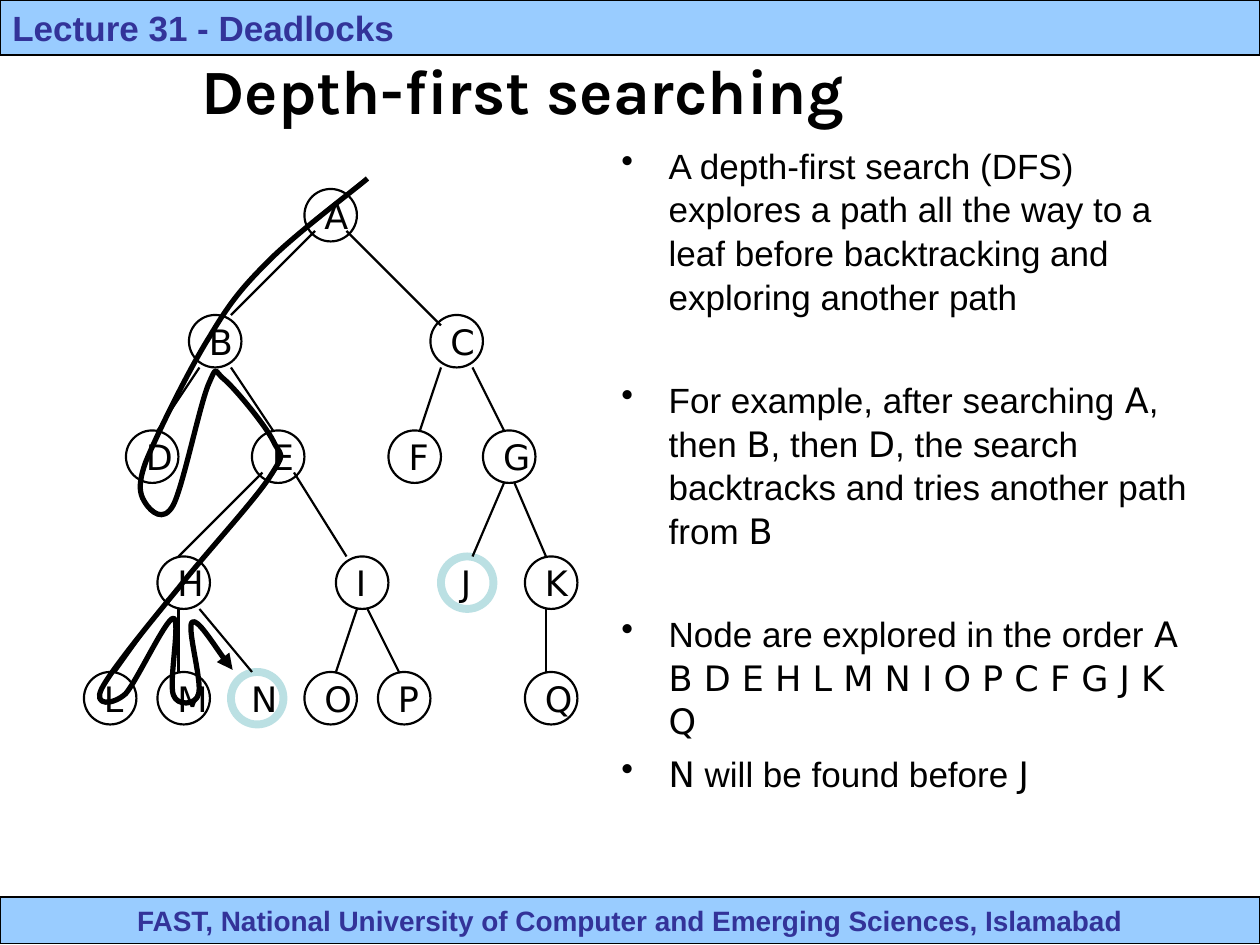
from dataclasses import dataclass

import pptx
import pptx.dml.color
import pptx.enum.shapes
import pptx.enum.text
import pptx.oxml.ns
import pptx.oxml.xmlchemy
import pptx.util
from lxml import etree

Pt = pptx.util.Pt
qn = pptx.oxml.ns.qn
Align = pptx.enum.text.PP_ALIGN
Anchor = pptx.enum.text.MSO_ANCHOR
Shape = pptx.enum.shapes.MSO_SHAPE


@dataclass(frozen=True)
class Theme:
    ink: str = "000000"
    band: str = "99CCFF"
    label: str = "333399"
    goal: str = "BBE0E3"
    sans: str = "Arial"
    code: str = "DejaVu Sans"
    head: str = "Karla"
    title: int = 36
    body: int = 20
    foot: int = 16


@dataclass(frozen=True)
class Box:
    x: float
    y: float
    w: float
    h: float

    def size(self):
        return Pt(self.x), Pt(self.y), Pt(self.w), Pt(self.h)


theme = Theme()
UNIT = 6    # grid step of the tree
NODE = 5    # node width in grid steps

# Rows of the tree: top of the row, then the left side of each node
ROWS = {
    1: {"A": 21},
    13: {"B": 10, "C": 33},
    24: {"D": 4, "E": 16, "F": 29, "G": 38},
    36: {"H": 7, "I": 24, "J": 34, "K": 42},
    47: {"L": 0, "M": 7, "N": 14, "O": 21, "P": 28, "Q": 42},
}
GOALS = "JN"
EDGES = [
    (14, 13, 22, 5), (25, 5, 34, 14),
    (11, 18, 7, 24), (14, 18, 18, 24), (34, 18, 32, 24), (37, 18, 40, 24),
    (9, 36, 17, 28), (25, 36, 20, 28), (37, 36, 40, 29), (44, 36, 41, 29),
    (3, 47, 8, 40), (9, 47, 9, 41), (16, 47, 11, 41),
    (24, 47, 26, 41), (30, 47, 27, 41), (44, 47, 44, 41),
]
# Search trail: start, then three Bezier points per curve, in steps of 0.72 pt
START = (225, 0)
TRAIL = [
    (212, 11), (168, 44), (147, 65), (126, 86), (116, 98), (100, 125),
    (83, 152), (58, 203), (49, 225), (41, 247), (46, 253), (49, 258),
    (53, 264), (63, 274), (71, 259), (79, 243), (92, 179), (99, 163),
    (106, 147), (103, 153), (112, 160), (121, 168), (144, 196), (150, 208),
    (156, 221), (161, 216), (148, 236), (136, 255), (97, 297), (75, 325),
    (52, 353), (21, 391), (14, 405), (7, 419), (23, 418), (33, 409),
    (42, 399), (65, 349), (71, 349), (77, 350), (67, 400), (71, 410),
    (74, 419), (89, 418), (91, 409), (94, 399), (81, 355), (86, 352),
    (90, 349), (111, 382), (118, 390),
]
# Bars set off the node names; the number is the space before
POINTS = [
    (0, "A depth-first search (DFS) explores a path all the way to a leaf "
        "before backtracking and exploring another path"),
    (34, "For example, after searching |A|, then |B|, then |D|, the search "
         "backtracks and tries another path from |B"),
    (34, "Node are explored in the order |A B D E H L M N I O P C F G J K Q"),
    (5, "|N| will be found before |J"),
]


def color(code):
    return pptx.dml.color.RGBColor.from_string(code)


def write(para, text, size=theme.body, font=theme.sans, ink=theme.ink,
          bold=False, align=Align.LEFT):
    """Fill a paragraph; parts between bars take the code font."""
    para.alignment = align
    for i, part in enumerate(text.split("|")):
        if part:
            run = para.add_run()
            run.text = part
            run.font.name = theme.code if i % 2 else font
            run.font.size = Pt(size)
            run.font.bold = bold
            run.font.color.rgb = color(ink)


def stroke(shape, ink=theme.ink, width=1.25):
    shape.line.color.rgb = color(ink)
    shape.line.width = Pt(width)


def frame(shape, anchor, wrap=True):
    area = shape.text_frame
    area.word_wrap = wrap
    area.vertical_anchor = anchor
    area.margin_left = area.margin_right = Pt(7.2)
    area.margin_top = area.margin_bottom = Pt(3.6)
    return area


def band(slide, box, text, **form):
    bar = slide.shapes.add_shape(Shape.RECTANGLE, *box.size())
    bar.shadow.inherit = False
    bar.fill.solid()
    bar.fill.fore_color.rgb = color(theme.band)
    stroke(bar, width=0.75)
    para = frame(bar, Anchor.TOP).paragraphs[0]
    write(para, text, ink=theme.label, bold=True, **form)


def title(slide, box, text):
    shape = slide.shapes.title
    shape.left, shape.top, shape.width, shape.height = box.size()
    para = frame(shape, Anchor.MIDDLE).paragraphs[0]
    write(para, text, size=theme.title, font=theme.head, bold=True)


def bullets(slide, box, items):
    area = frame(slide.shapes.add_textbox(*box.size()), Anchor.TOP)
    for i, (gap, text) in enumerate(items):
        para = area.add_paragraph() if i else area.paragraphs[0]
        props = para._p.get_or_add_pPr()
        props.set("marL", str(Pt(27)))
        props.set("indent", str(-Pt(27)))
        etree.SubElement(props, qn("a:buChar"), char="•")
        para.space_before = Pt(gap)
        para.line_spacing = 1.04
        write(para, text)


def node(slide, box, name):
    ring = slide.shapes.add_shape(Shape.OVAL, *box.size())
    ring.shadow.inherit = False
    ring.fill.background()
    if name in GOALS:
        stroke(ring, theme.goal, 4.5)
    else:
        stroke(ring)
    para = frame(ring, Anchor.MIDDLE, wrap=False).paragraphs[0]
    write(para, name, font=theme.code)


def edge(slide, x1, y1, x2, y2):
    line = slide.shapes.add_connector(
        pptx.enum.shapes.MSO_CONNECTOR.STRAIGHT, Pt(x1), Pt(y1), Pt(x2), Pt(y2))
    stroke(line)
    etree.SubElement(line._element.spPr, qn("a:effectLst"))


def trail(slide, box):
    """Draw the search as one curve with an arrowhead."""
    form = slide.shapes.build_freeform(*START, scale=Pt(0.72))
    form.add_line_segments(TRAIL, close=False)
    curve = form.convert_to_shape(Pt(box.x), Pt(box.y))
    curve.shadow.inherit = False
    curve.fill.background()
    stroke(curve, width=3)
    steps = list(curve._element.iter(qn("a:lnTo")))
    for i in range(0, len(steps), 3):
        first, *rest = steps[i:i + 3]
        bend = etree.Element(qn("a:cubicBezTo"))
        first.addprevious(bend)
        for step in (first, *rest):
            bend.append(step[0])
            step.getparent().remove(step)
    etree.SubElement(curve.line._get_or_add_ln(), qn("a:tailEnd"),
                     type="triangle")


def tree(slide, box):
    for top, row in ROWS.items():
        for name, left in row.items():
            node(slide, Box(box.x + left * UNIT, box.y + top * UNIT,
                            NODE * UNIT, NODE * UNIT), name)
    for x1, y1, x2, y2 in EDGES:
        edge(slide, box.x + x1 * UNIT, box.y + y1 * UNIT,
             box.x + x2 * UNIT, box.y + y2 * UNIT)
    trail(slide, box)


def main():
    deck = pptx.Presentation()
    deck.slide_width, deck.slide_height = Pt(720), Pt(540)
    slide = deck.slides.add_slide(deck.slide_layouts[5])
    band(slide, Box(0, 512.5, 720, 26.5),
         "FAST, National University of Computer and Emerging Sciences, Islamabad",
         size=theme.foot, align=Align.CENTER)
    band(slide, Box(0, 0, 720, 31.5), "Lecture 31 - Deadlocks")
    title(slide, Box(108, 18, 602, 66), "Depth-first searching")
    bullets(slide, Box(348, 78, 342, 396), POINTS)
    tree(slide, Box(48, 102, 282, 312))
    deck.save("out.pptx")


if __name__ == "__main__":
    main()
